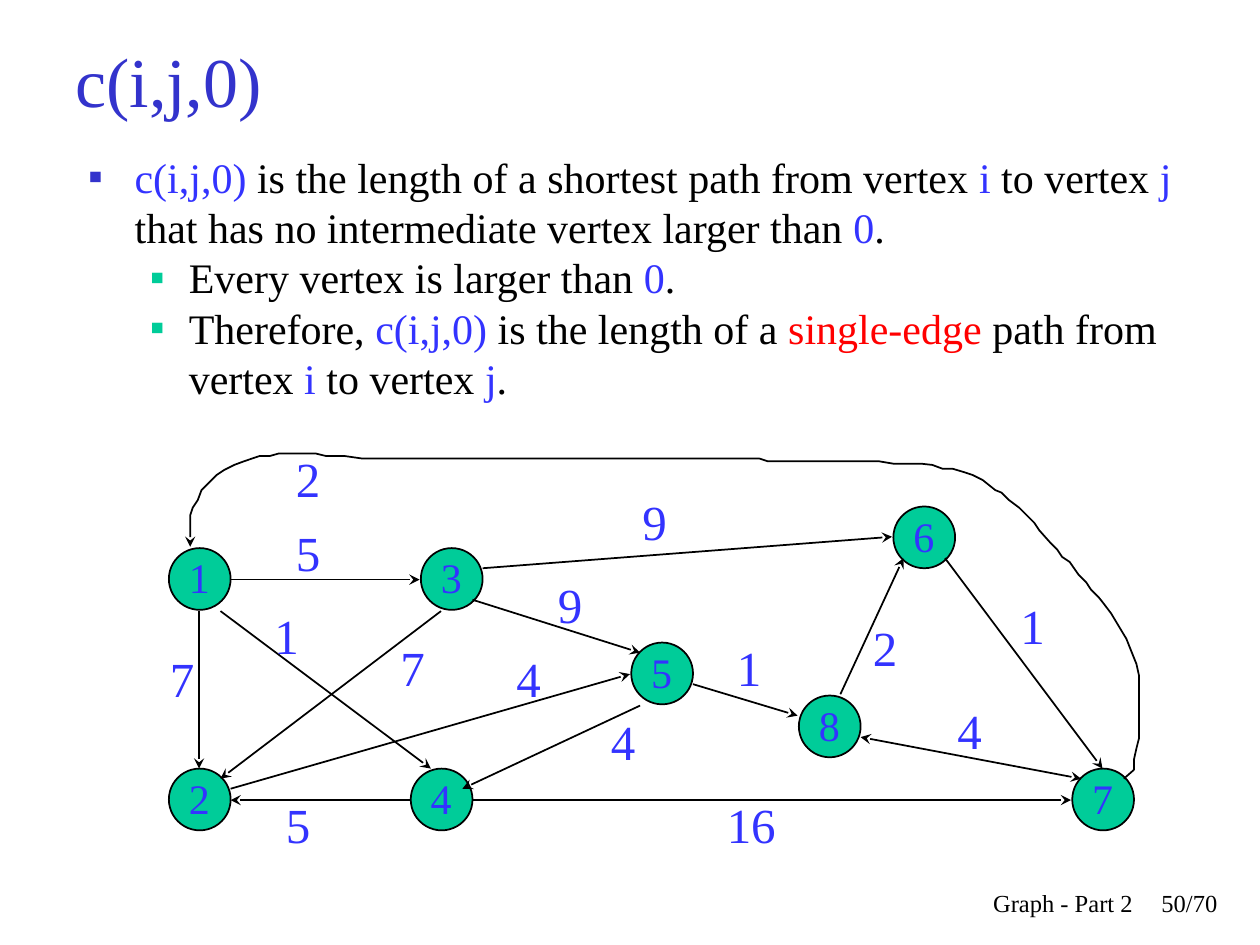
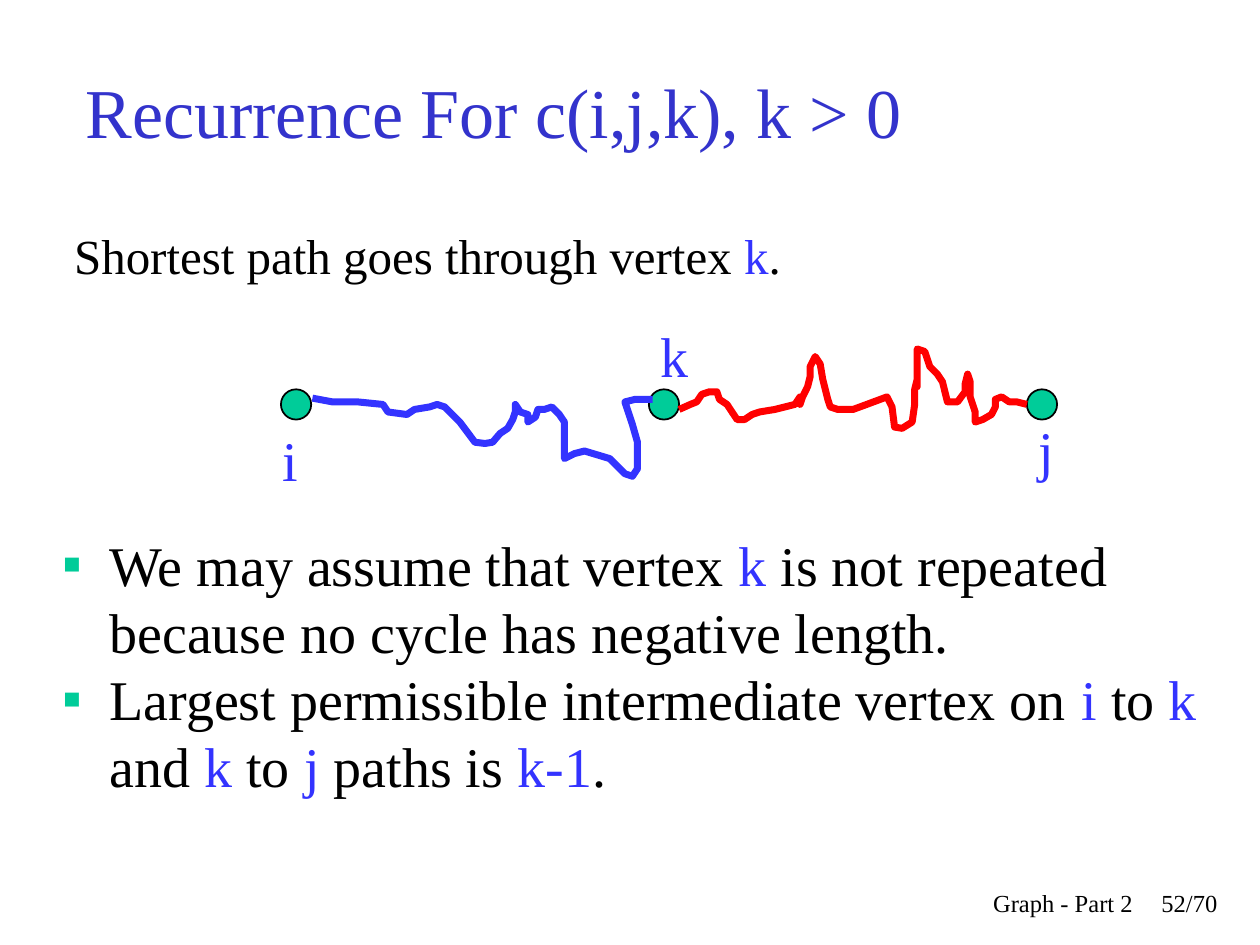
import pptx
import pptx.dml.color
import pptx.enum.shapes
import pptx.enum.text
import pptx.oxml.ns
import pptx.util
from lxml import etree

Inches = pptx.util.Inches
hex_colour = pptx.dml.color.RGBColor.from_string
Align = pptx.enum.text.PP_ALIGN
Anchor = pptx.enum.text.MSO_ANCHOR
OVAL = pptx.enum.shapes.MSO_SHAPE.OVAL
STRAIGHT = pptx.enum.shapes.MSO_CONNECTOR.STRAIGHT
qn = pptx.oxml.ns.qn

FONT = "Times New Roman"
TITLE_BLUE, BLUE, GREEN = "3333CC", "3333FF", "00CC99"
RED, BLACK, WHITE = "FF0000", "000000", "FFFFFF"
MAIN, SUB = (0.38, -0.37), (0.81, -0.31)  # left margin and hanging indent


def write_text(slide, at, paragraphs, size, anchor=Anchor.TOP, align=None, wrap=True):
    """Add a text box; a paragraph is (runs, indents, bullet colour), a run (text, colour)."""
    frame = slide.shapes.add_textbox(*map(Inches, at)).text_frame
    frame.word_wrap = wrap
    frame.vertical_anchor = anchor
    for index, (runs, indents, bullet) in enumerate(paragraphs):
        paragraph = frame.add_paragraph() if index else frame.paragraphs[0]
        paragraph.alignment = align
        paragraph.level = 1 if indents == SUB else 0
        if indents:
            properties = paragraph._p.get_or_add_pPr()
            properties.set("marL", str(Inches(indents[0])))
            properties.set("indent", str(Inches(indents[1])))
            if bullet:
                colour = etree.SubElement(properties, qn("a:buClr"))
                etree.SubElement(colour, qn("a:srgbClr"), val=bullet)
                etree.SubElement(properties, qn("a:buFont"), typeface=FONT)
                etree.SubElement(properties, qn("a:buChar"), char="▪")
            else:
                etree.SubElement(properties, qn("a:buNone"))
        for text, colour in runs:
            run = paragraph.add_run()
            run.text = text
            run.font.name = FONT
            run.font.size = pptx.util.Pt(size)
            run.font.color.rgb = hex_colour(colour)


def style_line(shape, colour=BLACK, width=1, arrows=()):
    """Set line colour and width, remove the shadow, add stealth arrowheads."""
    shape.line.color.rgb = hex_colour(colour)
    shape.line.width = pptx.util.Pt(width)
    for end in arrows:
        etree.SubElement(shape.line._get_or_add_ln(), qn("a:" + end), type="stealth")
    etree.SubElement(shape._element.spPr, qn("a:effectLst"))


presentation = pptx.Presentation()
presentation.slide_width = Inches(10)
presentation.slide_height = Inches(7.5)

# Titles and footers
headings = [
    ("c(i,j,0)", (0.5, 0.3, 9, 0.66), "50/70"),
    ("Recurrence For c(i,j,k), k > 0", (0.58, 0.25, 8.5, 1.25), "52/70"),
]
for title, title_at, page in headings:
    slide = presentation.slides.add_slide(presentation.slide_layouts[6])
    slide.background.fill.solid()
    slide.background.fill.fore_color.rgb = hex_colour(WHITE)
    write_text(slide, title_at, [([(title, TITLE_BLUE)], None, None)], 40, Anchor.MIDDLE)
    for text, left, width in [(page, 9.08, 0.68), ("Graph - Part 2", 5.92, 3.17)]:
        write_text(slide, (left, 7, width, 0.5), [([(text, BLACK)], None, None)], 14,
                   align=Align.RIGHT)
graph_slide, recurrence_slide = presentation.slides

# Vertices of both drawings: slide, left, top, diameter, label
vertices = [
    (graph_slide, 1.34, 4.35, 0.49, "1"),
    (graph_slide, 1.34, 6.1, 0.49, "2"),
    (graph_slide, 3.34, 4.35, 0.49, "3"),
    (graph_slide, 3.26, 6.1, 0.49, "4"),
    (graph_slide, 5.01, 5.1, 0.49, "5"),
    (graph_slide, 7.09, 4.02, 0.49, "6"),
    (graph_slide, 8.51, 6.1, 0.49, "7"),
    (graph_slide, 6.34, 5.52, 0.49, "8"),
    (recurrence_slide, 2.23, 3.09, 0.24, None),
    (recurrence_slide, 5.15, 3.09, 0.24, None),
    (recurrence_slide, 8.15, 3.09, 0.24, None),
]
for slide, left, top, diameter, label in vertices:
    vertex = slide.shapes.add_shape(OVAL, *map(Inches, (left, top, diameter, diameter)))
    vertex.fill.solid()
    vertex.fill.fore_color.rgb = hex_colour(GREEN)
    style_line(vertex)
    if label:
        write_text(slide, (left + 0.06, top - 0.02, 0.37, 0.5),
                   [([(label, BLUE)], None, None)], 24, wrap=False)

# Slide 1: explanation
write_text(graph_slide, (0.59, 1.15, 8.98, 2.44), [
    ([("c(i,j,0)", BLUE), (" is the length of a shortest path from vertex", BLACK),
      (" i", BLUE), (" to vertex ", BLACK), ("j ", BLUE),
      ("that has no intermediate vertex larger than ", BLACK), ("0", BLUE), (".", BLACK)],
     MAIN, TITLE_BLUE),
    ([("Every vertex is larger than ", BLACK), ("0", BLUE), (".", BLACK)], SUB, GREEN),
    ([("Therefore, ", BLACK), ("c(i,j,0)", BLUE), (" is the length of a ", BLACK),
      ("single-edge", RED), (" path from vertex ", BLACK), ("i ", BLUE),
      ("to vertex ", BLACK), ("j", BLUE), (".", BLACK)], SUB, GREEN),
], 24)

# Slide 1: edges as start, end, weight, and left, top, width of the weight
ONE_WAY, BOTH_WAYS = ("tailEnd",), ("headEnd", "tailEnd")
edges = [
    ((1.58, 4.85), (1.58, 6.1), "7", (1.25, 5.1, 0.42), ONE_WAY),
    ((3.25, 6.35), (1.83, 6.35), "5", (2.17, 6.26, 0.42), ONE_WAY),
    ((1.83, 4.6), (3.33, 4.6), "5", (2.25, 4.1, 0.42), ONE_WAY),
    ((1.75, 4.85), (3.42, 6.1), "1", (2.08, 4.76, 0.67), ONE_WAY),
    ((3.5, 4.85), (1.75, 6.18), "7", (3.08, 5.01, 0.42), ONE_WAY),
    ((3.75, 4.76), (5.08, 5.18), "9", (4.33, 4.51, 0.42), ONE_WAY),
    ((1.83, 6.26), (5, 5.35), "4", (4, 5.1, 0.42), ONE_WAY),
    ((5.08, 5.6), (3.67, 6.26), "4", (4.75, 5.6, 0.42), ONE_WAY),
    ((3.75, 6.35), (8.5, 6.35), "16", (5.67, 6.26, 0.83), ONE_WAY),
    ((5.5, 5.43), (6.33, 5.68), "1", (5.75, 5.01, 0.67), ONE_WAY),
    ((3.83, 4.51), (7.08, 4.26), "9", (5, 3.85, 0.42), ONE_WAY),
    ((7.5, 4.43), (8.75, 6.1), "1", (8, 4.68, 0.42), ONE_WAY),
    ((6.67, 5.51), (7.17, 4.43), "2", (6.83, 4.85, 0.42), ONE_WAY),
    ((6.83, 5.85), (8.58, 6.18), "4", (7.5, 5.51, 0.42), BOTH_WAYS),
]
for start, end, weight, (left, top, width), arrows in edges:
    edge = graph_slide.shapes.add_connector(STRAIGHT, *map(Inches, start + end))
    style_line(edge, arrows=arrows)
    write_text(graph_slide, (left, top, width, 0.57), [([(weight, BLUE)], None, None)], 28)
write_text(graph_slide, (2.25, 3.51, 0.42, 0.57), [([("2", BLUE)], None, None)], 28)

# Hand-drawn paths, in hundredths of an inch
edge_7_to_1 = [
    (892, 618), (900, 611), (900, 603), (902, 594), (904, 586), (904, 536), (902, 527),
    (898, 517), (894, 507), (888, 497), (882, 487), (876, 479), (872, 474), (866, 468),
    (862, 462), (856, 456), (849, 446), (843, 442), (839, 436), (833, 430), (825, 421),
    (821, 415), (815, 409), (809, 403), (801, 397), (795, 391), (790, 389), (780, 381),
    (772, 377), (766, 375), (756, 372), (748, 372), (740, 369), (731, 368), (709, 368),
    (697, 366), (609, 366), (603, 364), (288, 364), (274, 362), (259, 362), (251, 360),
    (221, 360), (214, 362), (206, 362), (200, 364), (194, 366), (186, 369), (178, 373),
    (172, 377), (166, 383), (160, 389), (157, 397), (153, 403), (151, 409), (151, 434),
]
path_i_to_k = [
    (248, 316), (264, 319), (284, 319), (304, 321), (308, 327), (323, 329), (329, 325),
    (341, 323), (347, 321), (353, 323), (365, 335), (377, 351), (385, 352), (391, 351),
    (397, 344), (403, 340), (407, 333), (409, 327), (409, 321), (413, 327), (419, 329),
    (419, 335), (425, 331), (427, 325), (432, 325), (438, 323), (444, 329), (448, 335),
    (448, 364), (456, 360), (464, 358), (484, 364), (496, 376), (502, 378), (506, 372),
    (506, 351), (504, 344), (502, 337), (498, 325), (496, 319), (504, 317), (518, 317),
]
path_k_to_j = [
    (539, 325), (548, 321), (553, 319), (557, 313), (563, 311), (569, 311), (571, 317),
    (577, 321), (581, 327), (585, 333), (591, 333), (597, 329), (603, 327), (615, 325),
    (631, 321), (635, 315), (635, 321), (637, 315), (641, 307), (643, 299), (643, 291),
    (647, 283), (651, 289), (653, 301), (657, 317), (659, 323), (665, 325), (677, 325),
    (688, 321), (704, 315), (708, 323), (710, 339), (716, 340), (724, 335), (726, 321),
    (726, 309), (728, 301), (728, 307), (728, 277), (734, 279), (738, 291), (744, 297),
    (748, 303), (752, 319), (760, 319), (766, 311), (766, 305), (768, 297), (770, 303),
    (770, 315), (774, 327), (774, 335), (780, 333), (787, 329), (790, 323), (790, 317),
    (795, 315), (801, 319), (807, 319), (815, 321),
]
for slide, points, colour, width, arrows in [
    (graph_slide, edge_7_to_1, BLACK, 1, ONE_WAY),
    (recurrence_slide, path_i_to_k, BLUE, 4, ()),
    (recurrence_slide, path_k_to_j, RED, 4, ()),
]:
    builder = slide.shapes.build_freeform(*points[0], scale=Inches(0.01))
    builder.add_line_segments(points[1:], close=False)
    path_shape = builder.convert_to_shape()
    path_shape.fill.background()
    style_line(path_shape, colour, width, arrows)

# Slide 2: vertex names and statements
for name, left, top in [("i", 2.14, 3.33), ("j", 8.14, 3.25), ("k", 5.14, 2.5)]:
    write_text(recurrence_slide, (left, top, 0.25, 0.63), [([(name, BLUE)], None, None)], 32)
write_text(recurrence_slide, (0.48, 1.74, 9.25, 0.83), [
    ([("Shortest path goes through vertex ", BLACK), ("k", BLUE), (".", BLACK)], MAIN, None),
], 28)
write_text(recurrence_slide, (0.39, 4.16, 9.25, 2.5), [
    ([("We may assume that vertex ", BLACK), ("k", BLUE),
      (" is not repeated because no cycle has negative length.", BLACK)], MAIN, GREEN),
    ([("Largest permissible intermediate vertex on ", BLACK), ("i", BLUE), (" to ", BLACK),
      ("k", BLUE), (" and ", BLACK), ("k", BLUE), (" to ", BLACK), ("j", BLUE),
      (" paths is ", BLACK), ("k-1", BLUE), (".", BLACK)], MAIN, GREEN),
], 32)

presentation.save("out.pptx")
